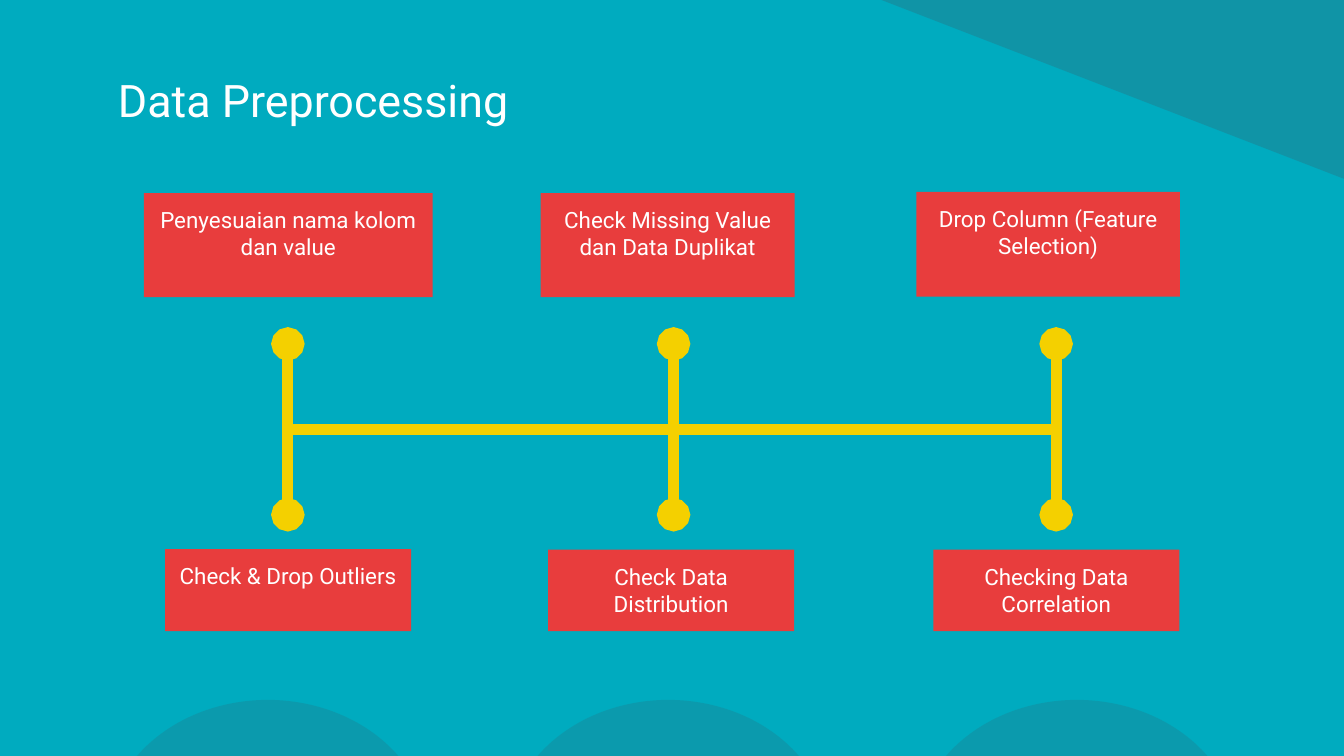
from lxml import etree
from pptx import Presentation
from pptx.dml.color import RGBColor as RGB
from pptx.enum.shapes import MSO_CONNECTOR as Link, MSO_SHAPE as Geo
from pptx.enum.text import MSO_ANCHOR as Anchor, MSO_AUTO_SIZE as Fit, PP_ALIGN as Align
from pptx.oxml.ns import qn
from pptx.util import Cm, Pt

HUES = {"back": "00ABBF", "deco": "336574", "box": "E83D3D",
        "line": "F4D000", "text": "FFFFFF"}
FRAME = {"word_wrap": True, "auto_size": Fit.NONE,
         "margin_left": Cm(0.25), "margin_right": Cm(0.25),
         "margin_top": Cm(0.25), "margin_bottom": Cm(0.25)}
STEMS = (5.44, 12.73, 19.96)
TOP, END = 6.5, 9.73
MID = (TOP + END) / 2
# left, top, width, height, label
STEPS = (
    (2.72, 3.65, 5.46, 1.97, "Penyesuaian nama kolom dan value"),
    (10.22, 3.65, 4.8, 1.97, "Check Missing Value dan Data Duplikat"),
    (17.32, 3.63, 4.98, 1.98, "Drop Column (Feature Selection)"),
    (3.12, 10.38, 4.65, 1.55, "Check & Drop Outliers"),
    (10.36, 10.39, 4.65, 1.54, "Check Data Distribution"),
    (17.64, 10.39, 4.65, 1.54, "Checking Data Correlation"),
)


def hue(name):
    return RGB.from_string(HUES[name])


def apply(obj, vals):
    for key, val in vals.items():
        setattr(obj, key, val)


def write(shape, text, size, align, anchor):
    frame = shape.text_frame
    apply(frame, {**FRAME, "vertical_anchor": anchor})
    frame.text = text
    para = frame.paragraphs[0]
    para.alignment = align
    apply(para.runs[0].font, {"name": "Roboto", "size": Pt(size)})
    para.runs[0].font.color.rgb = hue("text")


def add_form(slide, geo, area, fill, alpha=None):
    """Add a borderless shape; alpha is its opacity in percent."""
    form = slide.shapes.add_shape(geo, *map(Cm, area))
    form.shadow.inherit = False
    form.line.fill.background()
    form.fill.solid()
    form.fill.fore_color.rgb = hue(fill)
    if alpha:
        tone = form.fill._xPr.find(".//" + qn("a:srgbClr"))
        etree.SubElement(tone, qn("a:alpha"), val=str(alpha * 1000))
    return form


def add_deco(slide):
    wedge = add_form(slide, Geo.RIGHT_TRIANGLE, (16.66, 0, 8.74, 3.38), "deco", 32)
    wedge.rotation = 180
    for left in (2.01, 9.58, 17.3):
        add_form(slide, Geo.OVAL, (left, 13.23, 6.1, 5.13), "deco", 23)


def add_title(slide):
    title = slide.shapes.title
    apply(title, {"left": Cm(1.98), "top": Cm(1.09),
                  "width": Cm(21.44), "height": Cm(1.6)})
    write(title, "Data Preprocessing", 24, Align.LEFT, Anchor.MIDDLE)


def add_step(slide, *area, text):
    box = add_form(slide, Geo.RECTANGLE, area, "box")
    write(box, text, 12, Align.CENTER, Anchor.TOP)


def add_line(slide, ends, dots=False):
    line = slide.shapes.add_connector(Link.STRAIGHT, *map(Cm, ends))
    line.line.width = Pt(6)
    line.line.color.rgb = hue("line")
    if dots:
        for tag in ("a:headEnd", "a:tailEnd"):
            etree.SubElement(line.line._ln, qn(tag), type="oval")
    etree.SubElement(line._element.spPr, qn("a:effectLst"))


def main():
    deck = Presentation()
    deck.slide_width, deck.slide_height = Cm(25.4), Cm(14.29)
    slide = deck.slides.add_slide(deck.slide_layouts[5])
    back = slide.background.fill
    back.solid()
    back.fore_color.rgb = hue("back")
    add_deco(slide)
    add_title(slide)
    for *area, text in STEPS:
        add_step(slide, *area, text=text)
    add_line(slide, (STEMS[0], MID, STEMS[-1], MID))
    for left in STEMS:
        add_line(slide, (left, TOP, left, END), dots=True)
    deck.save("out.pptx")


if __name__ == "__main__":
    main()
